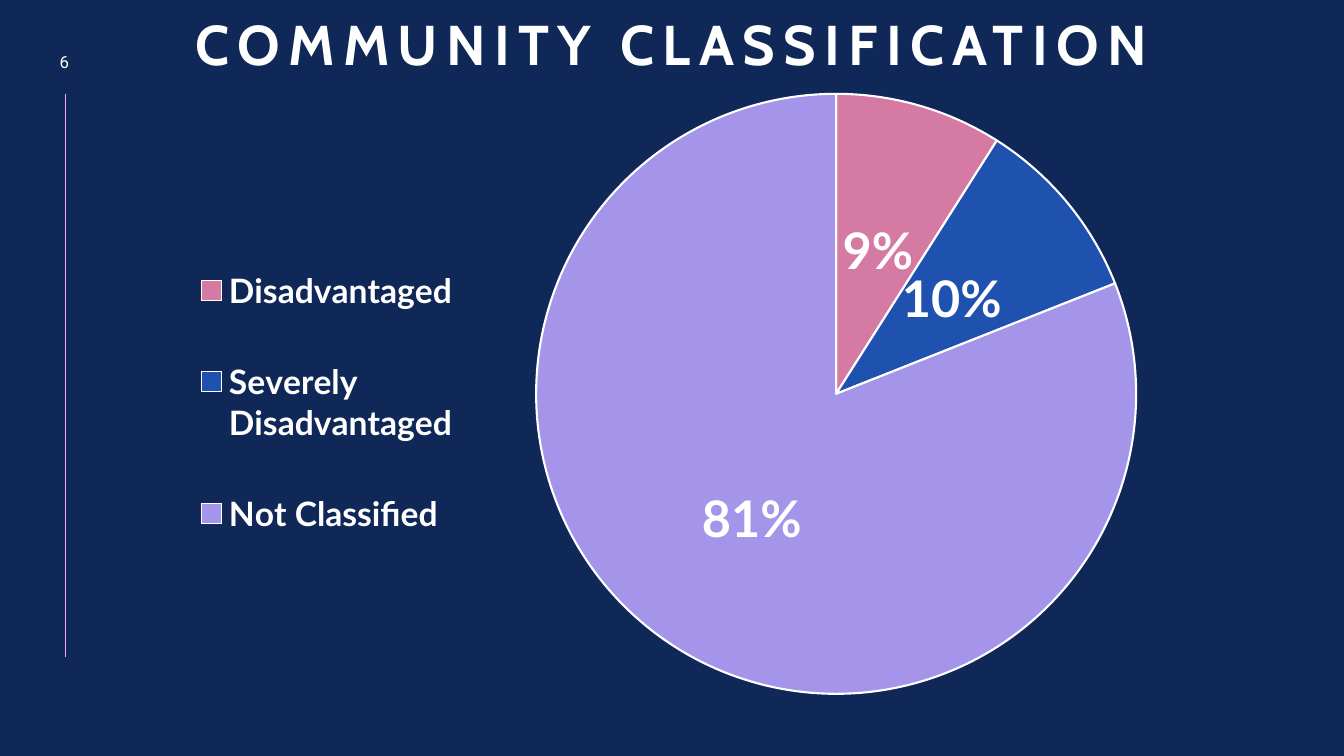
"""Build the community classification slide with its pie chart."""
from lxml import etree
from pptx import Presentation
from pptx.chart.data import CategoryChartData
from pptx.dml.color import RGBColor
from pptx.enum.chart import XL_CHART_TYPE, XL_LABEL_POSITION, XL_LEGEND_POSITION
from pptx.enum.shapes import MSO_CONNECTOR
from pptx.enum.text import MSO_ANCHOR, PP_ALIGN
from pptx.oxml.ns import qn
from pptx.util import Pt

PIE = XL_CHART_TYPE.PIE
LEFT = XL_LEGEND_POSITION.LEFT
LABEL_CENTER = XL_LABEL_POSITION.CENTER
STRAIGHT = MSO_CONNECTOR.STRAIGHT
CENTER = PP_ALIGN.CENTER
BOTTOM, MIDDLE = MSO_ANCHOR.BOTTOM, MSO_ANCHOR.MIDDLE

TITLE = "COMMUNITY CLASSIFICATION"
PAGE = "6"
SHARES = [
    ("Disadvantaged", 9, "pink"),
    ("Severely Disadvantaged", 10, "blue"),
    ("Not Classified", 81, "lilac"),
]
COLORS = {
    "navy": "102857",
    "white": "FFFFFF",
    "rule": "F6A6F4",
    "pink": "D47AA3",
    "blue": "1F51AE",
    "lilac": "A495EB",
}
SLIDE = (1344, 756)
TITLE_BOX = (121, 7, 1102, 76)
PAGE_BOX = (36, 45, 57, 34)
RULE = (65, 94, 65, 657)
CHART_BOX = (178, 80, 1026, 629)
PIE_BOX = (536, 94, 600, 600)
LEGEND_BOX = (188, 220, 277, 364)
EMU_PER_PX = 914400 / 100.8


def px(*lengths):
    return [round(n * EMU_PER_PX) for n in lengths]


def rgb(name):
    return RGBColor.from_string(COLORS[name])


def set_font(font, name, size, bold=True):
    font.name, font.size, font.bold = name, Pt(size), bold
    font.color.rgb = rgb("white")


def set_text(shape, text, anchor, name, size, bold):
    tf = shape.text_frame
    tf.text = text
    tf.word_wrap = True
    tf.vertical_anchor = anchor
    p = tf.paragraphs[0]
    p.alignment = CENTER
    set_font(p.runs[0].font, name, size, bold)
    return p


def place(parent, index, box, target=None):
    for old in parent.findall(qn("c:layout")):
        parent.remove(old)
    layout = etree.Element(qn("c:layout"))
    manual = etree.SubElement(layout, qn("c:manualLayout"))
    left, top, width, height = CHART_BOX
    x, y, w, h = box
    values = [("layoutTarget", target)] if target else []
    values += [("xMode", "edge"), ("yMode", "edge"),
               ("x", round((x - left) / width, 3)), ("y", round((y - top) / height, 3)),
               ("w", round(w / width, 3)), ("h", round(h / height, 3))]
    for tag, value in values:
        etree.SubElement(manual, qn("c:" + tag)).set("val", str(value))
    parent.insert(index, layout)


def add_pie(slide):
    data = CategoryChartData()
    data.categories = [name for name, _, _ in SHARES]
    data.add_series("Series 1", [value for _, value, _ in SHARES])
    chart = slide.shapes.add_chart(PIE, *px(*CHART_BOX), data).chart
    chart.has_title = False
    set_font(chart.font, "Lato", 20)

    chart.has_legend = True
    legend = chart.legend
    legend.position = LEFT
    legend.include_in_layout = False
    set_font(legend.font, "Lato", 24)
    place(legend._element, 1, LEGEND_BOX)

    plot = chart.plots[0]
    plot.vary_by_categories = True
    place(chart._chartSpace.chart.plotArea, 0, PIE_BOX, "inner")
    series = plot.series[0]
    for i, (_, _, color) in enumerate(SHARES):
        fmt = series.points[i].format
        fmt.fill.solid()
        fmt.fill.fore_color.rgb = rgb(color)
        fmt.line.color.rgb = rgb("white")
        fmt.line.width = Pt(1.5)

    labels = series.data_labels
    labels.show_percentage = True
    labels.show_value = False
    labels.number_format = "0%"
    labels.number_format_is_linked = False
    labels.position = LABEL_CENTER
    set_font(labels.font, "Lato", 36)


def main():
    prs = Presentation()
    prs.slide_width, prs.slide_height = px(*SLIDE)
    slide = prs.slides.add_slide(prs.slide_layouts[5])
    slide.background.fill.solid()
    slide.background.fill.fore_color.rgb = rgb("navy")

    rule = slide.shapes.add_connector(STRAIGHT, *px(*RULE))
    rule.line.color.rgb = rgb("rule")
    rule.line.width = Pt(0.5)
    etree.SubElement(rule._element.spPr, qn("a:effectLst"))

    title = slide.shapes.title
    title.left, title.top, title.width, title.height = px(*TITLE_BOX)
    p = set_text(title, TITLE, BOTTOM, "Cabin", 40, True)
    p.line_spacing = 0.9
    p.runs[0].font._element.set("spc", "600")

    page = slide.shapes.add_textbox(*px(*PAGE_BOX))
    set_text(page, PAGE, MIDDLE, "Roboto", 12, False)
    add_pie(slide)
    prs.save("out.pptx")


if __name__ == "__main__":
    main()
